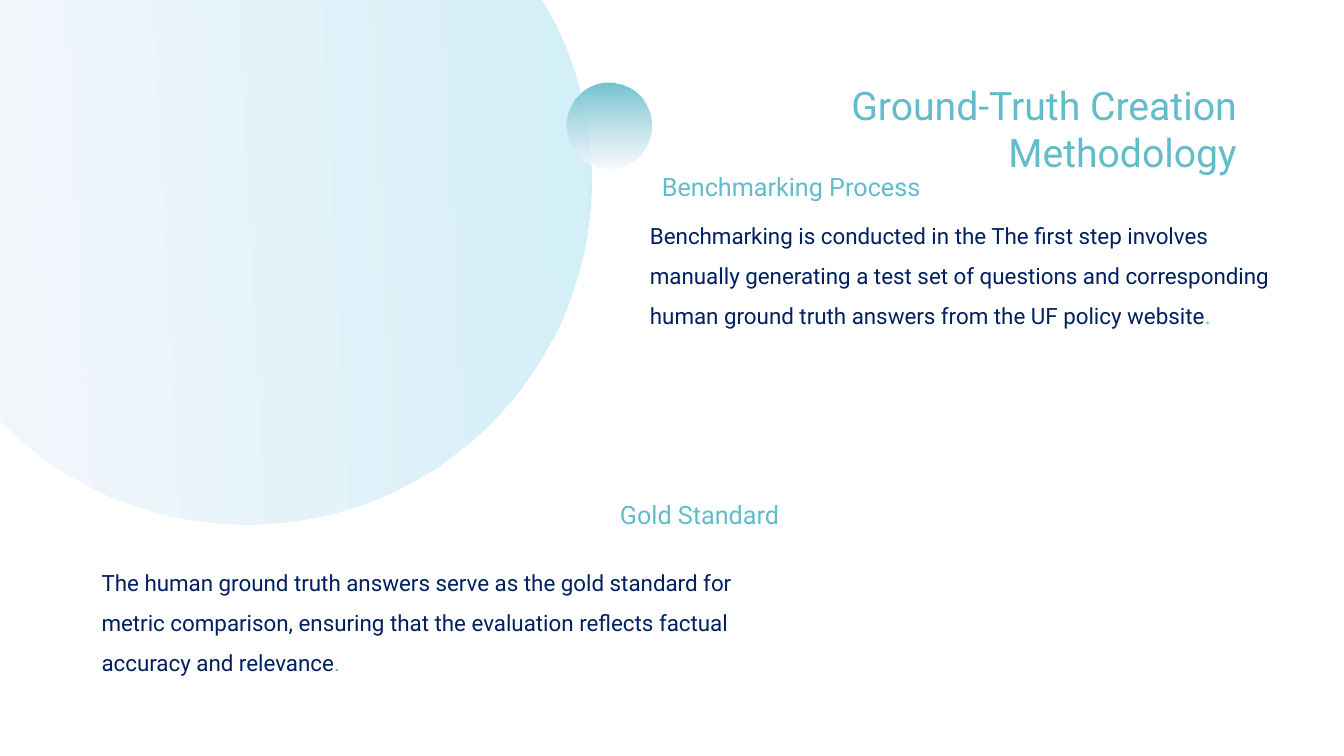
"""Build the ground-truth methodology slide."""
from dataclasses import dataclass

from lxml import etree
from pptx import Presentation
from pptx.dml.color import RGBColor
from pptx.enum.shapes import MSO_SHAPE
from pptx.enum.text import MSO_ANCHOR, MSO_AUTO_SIZE, PP_ALIGN
from pptx.oxml.ns import qn
from pptx.slide import Slide
from pptx.util import Cm, Pt

OVAL = MSO_SHAPE.OVAL
TOP = MSO_ANCHOR.TOP
NO_AUTOFIT = MSO_AUTO_SIZE.NONE
LEFT, RIGHT = PP_ALIGN.LEFT, PP_ALIGN.RIGHT


@dataclass(frozen=True)
class Theme:
    """Colours, font and type sizes."""
    font: str = "Roboto"
    accent: str = "63BCCA"
    ink: str = "002060"
    pale: str = "D2EFF8"
    teal: str = "72C3CF"
    fade: str = "F6F8FD"
    fade_alpha: int = 78
    title: int = 28
    heading: int = 18
    body: int = 16


THEME = Theme()


@dataclass(frozen=True)
class Box:
    """Position and size in centimetres."""
    left: float
    top: float
    width: float
    height: float


@dataclass(frozen=True)
class Circle:
    """A circle that fades from one colour."""
    box: Box
    color: str
    rotation: int = 0


@dataclass(frozen=True)
class Run:
    """Text in one colour."""
    text: str
    color: str = THEME.accent


@dataclass(frozen=True)
class Block:
    """One paragraph in its own box."""
    box: Box
    runs: tuple[Run, ...]
    size: int
    align: PP_ALIGN = LEFT
    spacing: float = 1.0


CIRCLES = (
    Circle(Box(-2.49, -4.19, 17.4, 17.4), THEME.pale, 87),
    Circle(Box(14.27, 2.08, 2.16, 2.16), THEME.teal),
)
TITLE = Block(Box(16.97, 1.93, 14.45, 1.27),
              (Run("Ground-Truth Creation Methodology"),), THEME.title, RIGHT)
BLOCKS = (
    Block(Box(16.43, 4.19, 12.14, 0.94), (Run("Benchmarking Process"),), THEME.heading),
    Block(Box(16.13, 5.13, 16.74, 4.5),
          (Run("Benchmarking is conducted in the The first step involves manually "
               "generating a test set of questions and corresponding human ground "
               "truth answers from the UF policy website", THEME.ink), Run(".")),
          THEME.body, spacing=1.5),
    Block(Box(4.6, 12.45, 15.29, 1.27), (Run("Gold Standard"),), THEME.heading, RIGHT),
    Block(Box(2.31, 13.87, 17.58, 4.5),
          (Run("The human ground truth answers serve as the gold standard for metric "
               "comparison, ensuring that the evaluation reflects factual accuracy "
               "and relevance", THEME.ink), Run(".")),
          THEME.body, spacing=1.5),
)


def place(sp, box: Box) -> None:
    """Move and size a shape."""
    sp.left, sp.top = Cm(box.left), Cm(box.top)
    sp.width, sp.height = Cm(box.width), Cm(box.height)


def draw_circle(s: Slide, circle: Circle) -> None:
    """Add a circle with a downward gradient to a translucent end."""
    sp = s.shapes.add_shape(OVAL, 0, 0, 0, 0)
    place(sp, circle.box)
    sp.rotation = circle.rotation
    sp.shadow.inherit = False
    sp.line.fill.background()
    sp.fill.gradient()
    sp.fill.gradient_angle = 270
    for stop, color in zip(sp.fill.gradient_stops, (circle.color, THEME.fade)):
        stop.color.rgb = RGBColor.from_string(color)
    end = sp.element.spPr.findall(".//" + qn("a:srgbClr"))[-1]
    etree.SubElement(end, qn("a:alpha"), val=str(THEME.fade_alpha * 1000))


def write_block(sp, block: Block) -> None:
    """Place a text shape and write its paragraph."""
    place(sp, block.box)
    tf = sp.text_frame
    tf.word_wrap = True
    tf.auto_size = NO_AUTOFIT
    tf.vertical_anchor = TOP
    p = tf.paragraphs[0]
    p.alignment = block.align
    p.line_spacing = block.spacing
    for run in block.runs:
        r = p.add_run()
        r.text = run.text
        r.font.name = THEME.font
        r.font.size = Pt(block.size)
        r.font.color.rgb = RGBColor.from_string(run.color)


def main() -> None:
    """Build and save the slide."""
    prs = Presentation()
    prs.slide_width, prs.slide_height = Cm(33.87), Cm(19.05)
    s = prs.slides.add_slide(prs.slide_layouts.get_by_name("Title Only"))
    for circle in CIRCLES:
        draw_circle(s, circle)
    write_block(s.shapes.title, TITLE)
    for block in BLOCKS:
        write_block(s.shapes.add_textbox(0, 0, 0, 0), block)
    prs.save("out.pptx")


if __name__ == "__main__":
    main()
